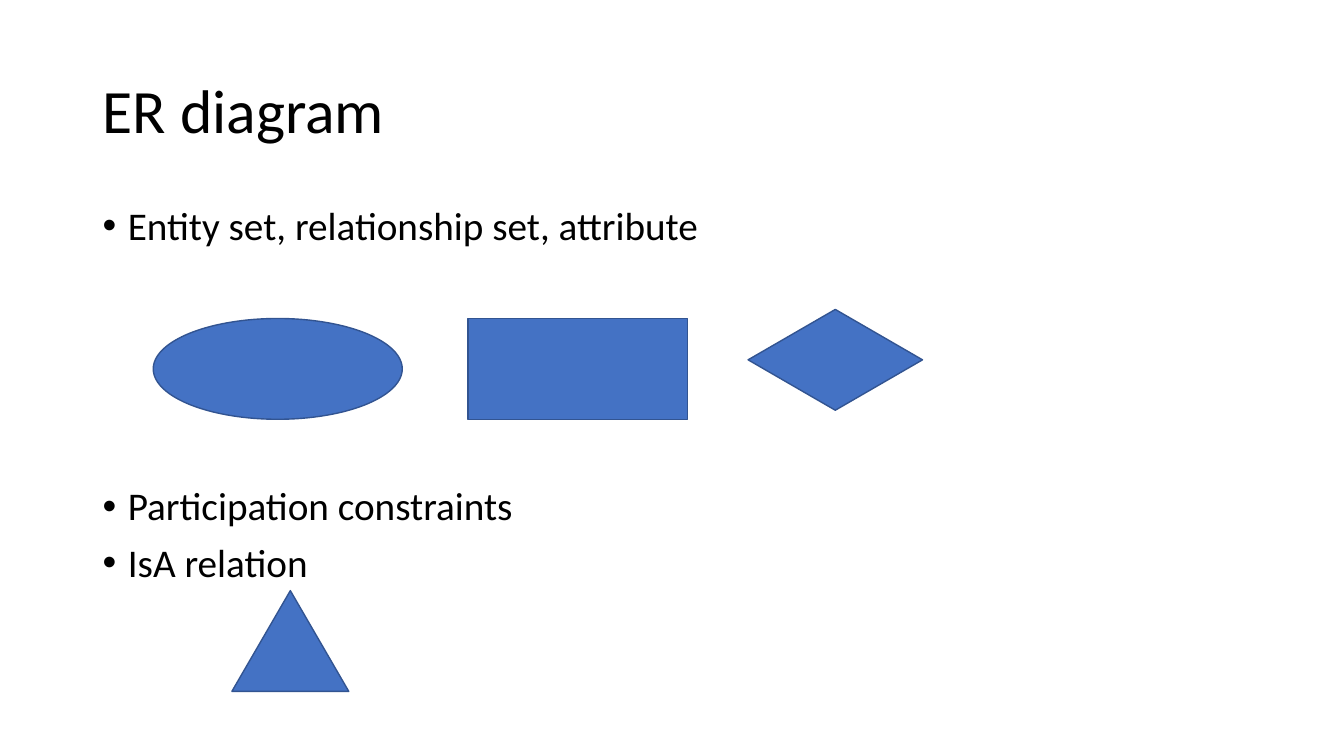
from dataclasses import dataclass
from lxml.etree import SubElement
from pptx import Presentation
from pptx.dml.color import RGBColor
from pptx.enum.shapes import MSO_SHAPE
from pptx.enum.text import MSO_ANCHOR, PP_ALIGN
from pptx.oxml.ns import qn
from pptx.util import Inches, Pt


@dataclass
class Theme:
    font: str = "Calibri"
    head: int = 44
    body: int = 28
    ink: RGBColor = RGBColor(0, 0, 0)
    fill: RGBColor = RGBColor(0x44, 0x72, 0xC4)
    edge: RGBColor = RGBColor(0x32, 0x54, 0x91)


theme = Theme()


def style(para, size):
    para.alignment = PP_ALIGN.LEFT
    para.line_spacing = 0.9
    for run in para.runs:
        run.font.name = theme.font
        run.font.size = Pt(size)
        run.font.color.rgb = theme.ink


deck = Presentation()
deck.slide_width, deck.slide_height = Inches(13.33), Inches(7.5)
slide = deck.slides.add_slide(deck.slide_layouts[5])

title = slide.shapes.title
title.left, title.top = Inches(0.92), Inches(0.4)
title.width, title.height = Inches(11.5), Inches(1.45)
title.text_frame.text = "ER diagram"
title.text_frame.vertical_anchor = MSO_ANCHOR.MIDDLE
style(title.text_frame.paragraphs[0], theme.head)

box = slide.shapes.add_textbox(Inches(0.92), Inches(2), Inches(11.5), Inches(4.76))
frame = box.text_frame
frame.word_wrap = True
topics = [
    ("Entity set, relationship set, attribute", 10),
    ("Participation constraints", 170),
    ("IsA relation", 10),
]
frame.text = "\n".join(text for text, gap in topics)
for para, (text, gap) in zip(frame.paragraphs, topics):
    style(para, theme.body)
    para.space_before = Pt(gap)
    props = para._p.get_or_add_pPr()
    props.set("marL", str(Inches(0.25)))
    props.set("indent", str(-Inches(0.25)))
    SubElement(props, qn("a:buFont"), typeface="Arial")
    SubElement(props, qn("a:buChar"), char="•")

symbols = [
    (MSO_SHAPE.OVAL, 1.52, 3.16, 2.47),
    (MSO_SHAPE.RECTANGLE, 4.64, 3.16, 2.18),
    (MSO_SHAPE.DIAMOND, 7.42, 3.07, 1.73),
    (MSO_SHAPE.ISOSCELES_TRIANGLE, 2.3, 5.86, 1.16),
]
for kind, left, top, width in symbols:
    shape = slide.shapes.add_shape(
        kind, Inches(left), Inches(top), Inches(width), Inches(1)
    )
    shape.shadow.inherit = False
    shape.fill.solid()
    shape.fill.fore_color.rgb = theme.fill
    shape.line.color.rgb = theme.edge
    shape.line.width = Pt(1)

deck.save("out.pptx")
